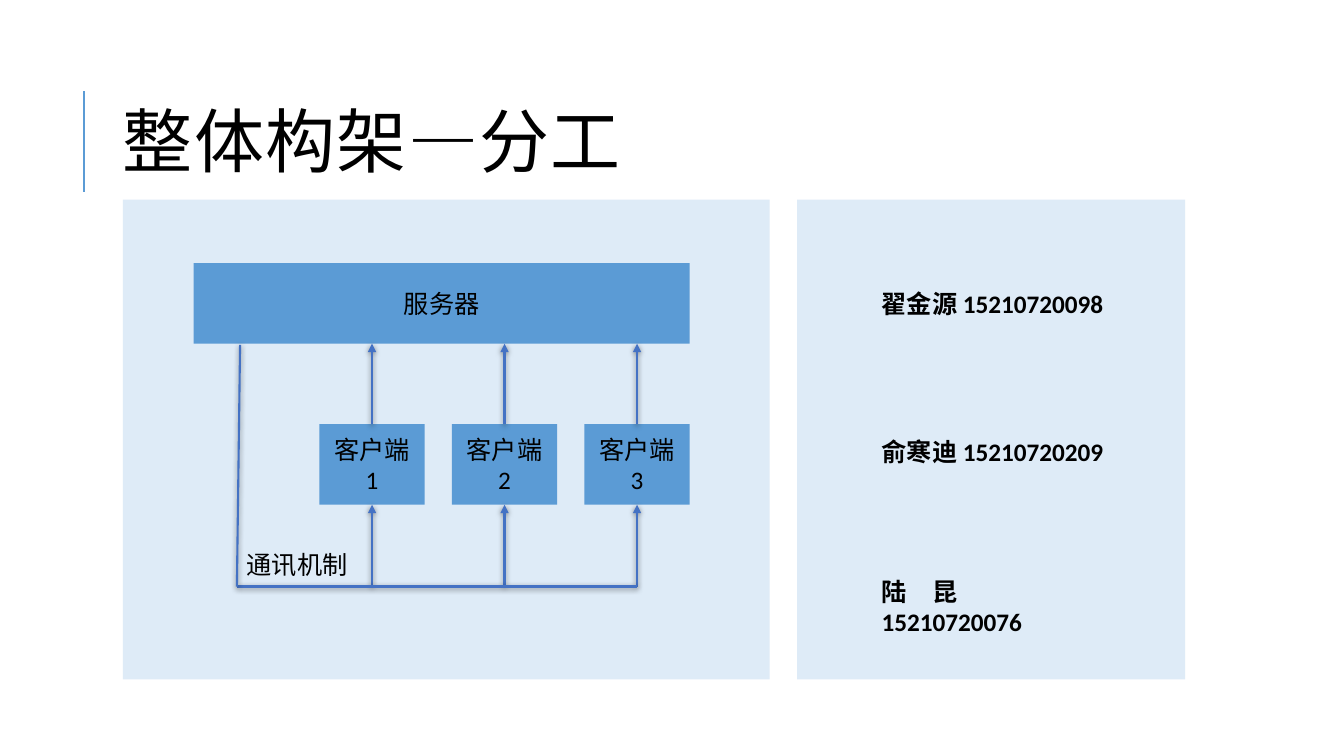
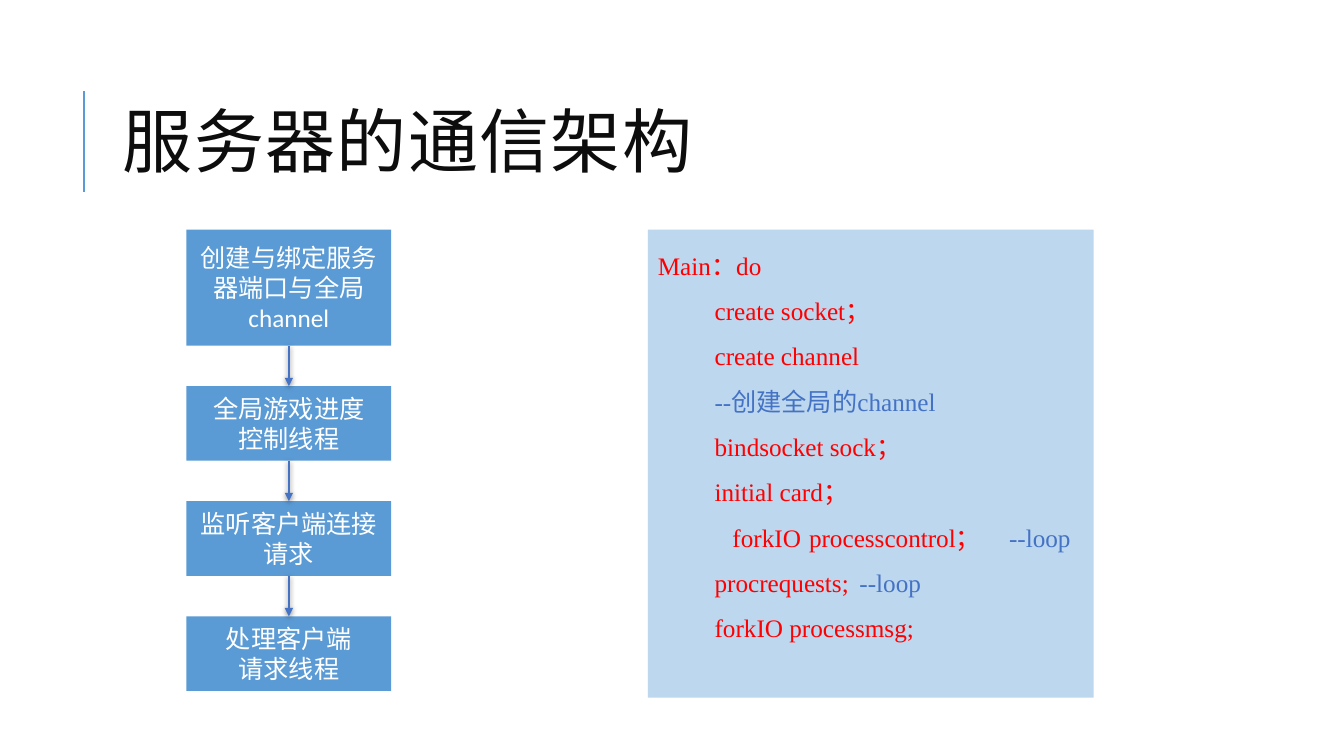
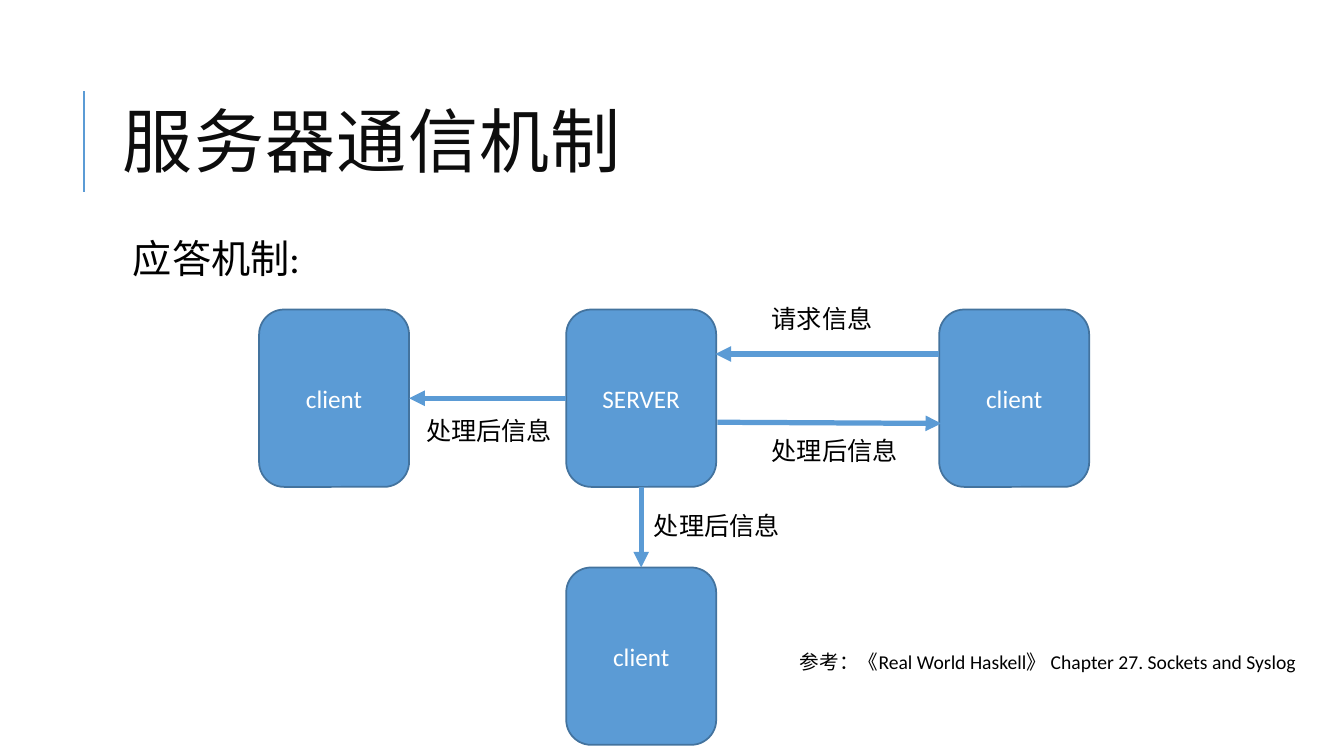
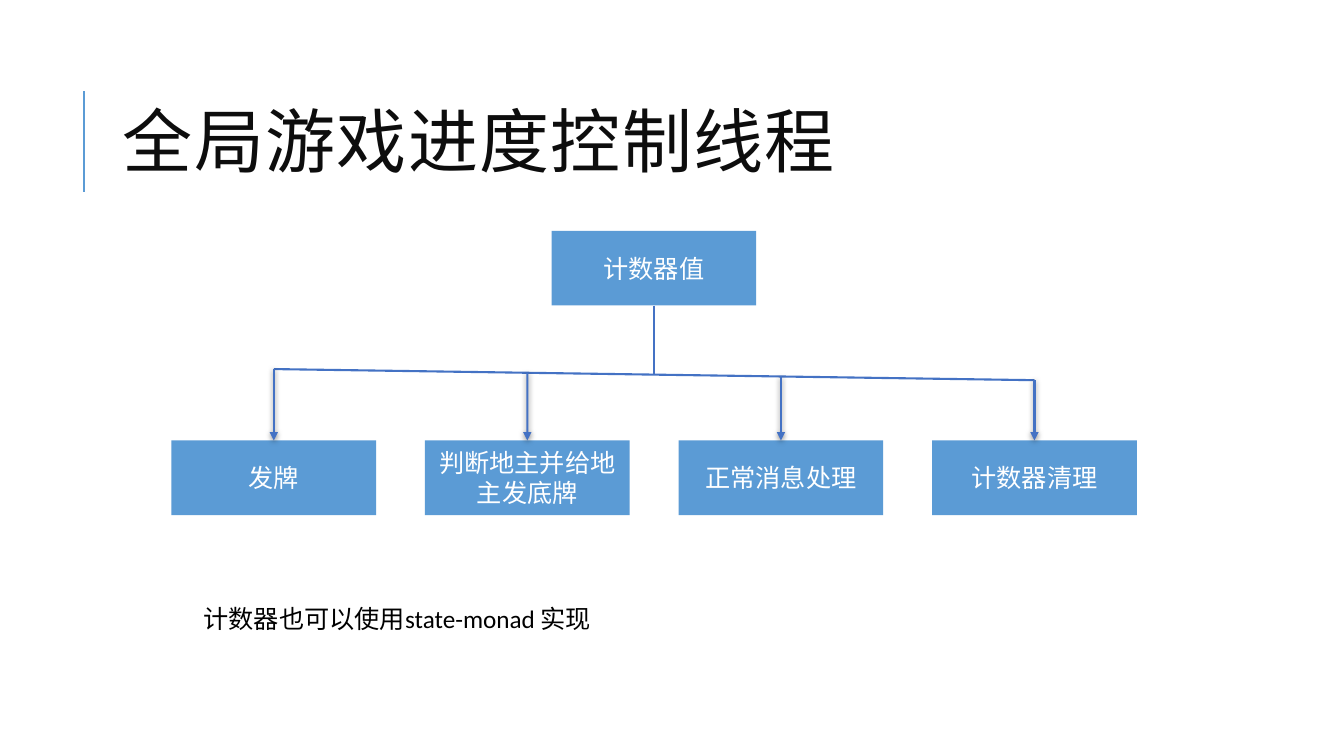
from lxml import etree
from pptx import Presentation
from pptx.dml.color import RGBColor
from pptx.enum import shapes, text
from pptx.oxml.ns import qn
from pptx.util import Cm, Pt

rgb = RGBColor.from_string
BLACK, INK, WHITE, RED = "000000", "0D0D0D", "FFFFFF", "FF0000"
BLUE, DEEP, EDGE = "5B9BD5", "4472C4", "43739E"
PALE, SOFT = "DEEBF7", "BDD7EE"
RECT = shapes.MSO_SHAPE.RECTANGLE
ROUND = shapes.MSO_SHAPE.ROUNDED_RECTANGLE
LEFT, CENTER, JUSTIFY = text.PP_ALIGN.LEFT, text.PP_ALIGN.CENTER, text.PP_ALIGN.JUSTIFY
TOP, MIDDLE = text.MSO_ANCHOR.TOP, text.MSO_ANCHOR.MIDDLE


def add_text(s, content, box, preset=None, fill=BLUE, line=None, size=18, color=BLACK,
             bold=False, font="Calibri", align=None, anchor=None, spacing=None, remark=None):
    """Add a text box, or a filled shape if a preset is given; remark colours text from "--" on."""
    box = [Cm(v) for v in box]
    if preset is None:
        sp = s.shapes.add_textbox(*box)
    else:
        sp = s.shapes.add_shape(preset, *box)
        sp.shadow.inherit = False
        sp.fill.solid()
        sp.fill.fore_color.rgb = rgb(fill)
        if line:
            sp.line.color.rgb = rgb(line)
            sp.line.width = Pt(1.25)
        else:
            sp.line.fill.background()
    tf = sp.text_frame
    tf.word_wrap = True
    tf.vertical_anchor = anchor or (MIDDLE if preset else TOP)
    for i, row in enumerate(content.split("\n")):
        p = tf.paragraphs[0] if i == 0 else tf.add_paragraph()
        p.alignment = align or (CENTER if preset else LEFT)
        p.line_spacing = spacing
        head, mark, tail = row.partition("--")
        for part, part_color in ((head, color), (mark + tail, remark or color)):
            if part:
                r = p.add_run()
                r.text = part
                r.font.name, r.font.size, r.font.bold = font, Pt(size), bold
                r.font.color.rgb = rgb(part_color)
    return sp


def add_line(s, begin, end, color=DEEP, width=1.5, arrow=True, shadow=True):
    """Draw a line; each end is a point (x, y) in cm or a joint (shape, side)."""
    ln = s.shapes.add_connector(shapes.MSO_CONNECTOR.STRAIGHT, 0, 0, 0, 0)
    if isinstance(begin[0], (int, float)):
        ln.begin_x, ln.begin_y = Cm(begin[0]), Cm(begin[1])
    else:
        ln.begin_connect(*begin)
    if isinstance(end[0], (int, float)):
        ln.end_x, ln.end_y = Cm(end[0]), Cm(end[1])
    else:
        ln.end_connect(*end)
    ln.line.color.rgb = rgb(color)
    ln.line.width = Pt(width)
    if arrow:
        etree.SubElement(ln.line._get_or_add_ln(), qn("a:tailEnd"), type="triangle")
    effects = etree.SubElement(ln._element.spPr, qn("a:effectLst"))
    if shadow:
        outer = etree.SubElement(effects, qn("a:outerShdw"), blurRad="50800", dist="12700",
                                 dir="5400000", rotWithShape="0")
        black = etree.SubElement(outer, qn("a:srgbClr"), val=BLACK)
        etree.SubElement(black, qn("a:alpha"), val="50000")


prs = Presentation()
prs.slide_width, prs.slide_height = Cm(33.87), Cm(19.05)

# Titles with the rule at their left
slides = []
for title, color in (("整体构架—分工", BLACK), ("服务器的通信架构", INK),
                     ("服务器通信机制", INK), ("全局游戏进度控制线程", INK)):
    s = prs.slides.add_slide(prs.slide_layouts[5])
    add_line(s, (2.11, 4.83), (2.11, 2.29), color=BLUE, arrow=False, shadow=False)
    sp = s.shapes.title
    sp.left, sp.top, sp.width, sp.height = Cm(2.84), Cm(1.63), Cm(27), Cm(4.17)
    tf = sp.text_frame
    tf.auto_size = text.MSO_AUTO_SIZE.NONE
    tf.vertical_anchor = MIDDLE
    p = tf.paragraphs[0]
    p.alignment, p.line_spacing = LEFT, 0.8
    r = p.add_run()
    r.text = title
    r.font.name, r.font.size = "Calibri", Pt(50)
    r.font.color.rgb = rgb(color)
    r._r.get_or_add_rPr().set("spc", "100")
    slides.append(s)
division, flow, messages, control = slides

# Slide 1: architecture panel and people panel
s = division
for left, width in ((3.1, 16.3), (20.09, 9.78)):
    add_text(s, "", (left, 5.03, width, 12.09), RECT, fill=PALE)
add_text(s, "服务器", (4.88, 6.63, 12.5, 2.03), RECT)
bus_y, client_w = 14.78, 2.65
for i, name in enumerate(("客户端1", "客户端 2", "客户端3")):
    left = 8.05 + 3.34 * i
    mid = left + client_w / 2
    client = add_text(s, name, (left, 10.69, client_w, 2.03), RECT)
    add_line(s, (client, 0), (mid, 8.66))
    add_line(s, (mid, bus_y), (client, 2))
add_line(s, (5.97, bus_y), (mid, bus_y), arrow=False)
add_line(s, (6.05, 8.69), (5.97, bus_y), arrow=False)
add_text(s, "通讯机制", (5.97, 13.72, 3.2, 1.02))
for person, top, width in (("翟金源 15210720098", 7.14, 6.4), ("俞寒迪 15210720209", 10.87, 6.4),
                           ("陆　昆 15210720076", 14.4, 5.79)):
    add_text(s, person, (21.97, top, width, 1.02), bold=True)

# Slide 2: flow of steps
s = flow
top, above = 5.79, None
for step, height in (("创建与绑定服务器端口与全局channel", 2.92), ("全局游戏进度\n控制线程", 1.88),
                     ("监听客户端连接\n请求", 1.88), ("处理客户端\n请求线程", 1.88)):
    sp = add_text(s, step, (4.7, top, 5.16, height), RECT, color=WHITE)
    if above:
        add_line(s, (above, 2), (sp, 0))
    above = sp
    top += height + 1.02

# Slide 2: code with first-line indents and tab stops in cm
code = (
    ("Main：do", 0, ()),
    ("create socket；", 1.43, ()),
    ("create channel", 1.43, ()),
    ("--创建全局的channel", 1.43, ()),
    ("bindsocket sock；", 1.43, ()),
    ("initial card；", 1.43, ()),
    ("forkIO\tprocesscontrol；\t--loop", 1.88, (4.23, 10.35)),
    ("procrequests;\t--loop", 1.43, (9.15,)),
    ("forkIO processmsg;", 1.43, ()),
)
sp = add_text(s, "\n".join(row[0] for row in code), (16.33, 5.79, 11.23, 11.79), RECT, fill=SOFT,
              color=RED, remark=DEEP, font="Times New Roman", align=JUSTIFY, anchor=TOP, spacing=1.5)
for p, (_, indent, stops) in zip(sp.text_frame.paragraphs, code):
    pPr = p._p.get_or_add_pPr()
    pPr.set("marL", "0")
    pPr.set("indent", str(Cm(indent)))
    if stops:
        tabs = etree.SubElement(pPr, qn("a:tabLst"))
        for stop in stops:
            etree.SubElement(tabs, qn("a:tab"), pos=str(Cm(stop)), algn="l")

# Slide 3: server and clients
s = messages
add_text(s, "应答机制:", (3.1, 5.79, 7.14, 1.45), size=28)
server, left_client, right_client, low_client = [
    add_text(s, name, (left, top, 3.78, 4.47), ROUND, line=EDGE, color=WHITE)
    for name, left, top in (("SERVER", 14.27, 7.8), ("client", 6.53, 7.8),
                            ("client", 23.67, 7.8), ("client", 14.27, 14.3))]
for begin, end in (((server, 1), (left_client, 3)), ((server, 2), (low_client, 0)),
                   ((23.67, 8.92), (18.03, 8.92)), ((18.08, 10.64), (23.72, 10.67))):
    add_line(s, begin, end, color=BLUE, width=3.75, shadow=False)
for label, left, top in (("请求信息", 19.2, 7.52), ("处理后信息", 19.2, 10.85),
                         ("处理后信息", 16.23, 12.73), ("处理后信息", 10.49, 10.34)):
    add_text(s, label, (left, top, 3.8, 1.02))
add_text(s, "参考：《Real World Haskell》 Chapter 27. Sockets and Syslog",
         (19.91, 16.26, 13.7, 1.45), size=14)

# Slide 4: counter value and its four branches
s = control
root = add_text(s, "计数器值", (13.9, 5.82, 5.16, 1.88), RECT, color=WHITE)
bus_y, bus_drop = 9.3, 0.28
mids = [6.9 + 6.39 * i for i in range(4)]
add_line(s, (mids[0], bus_y), (mids[-1], bus_y + bus_drop), arrow=False, shadow=False)
add_line(s, (root, 2), (16.48, bus_y + bus_drop / 2), arrow=False, shadow=False)
for i, name in enumerate(("发牌", "判断地主并给地主发底牌", "正常消息处理", "计数器清理")):
    branch = add_text(s, name, (mids[i] - 2.58, 11.1, 5.16, 1.88), RECT, color=WHITE)
    add_line(s, (mids[i], bus_y + bus_drop * i / 3), (branch, 0))
add_text(s, "计数器也可以使用state-monad 实现", (4.88, 15.09, 13.39, 1.02))

prs.save("out.pptx")
